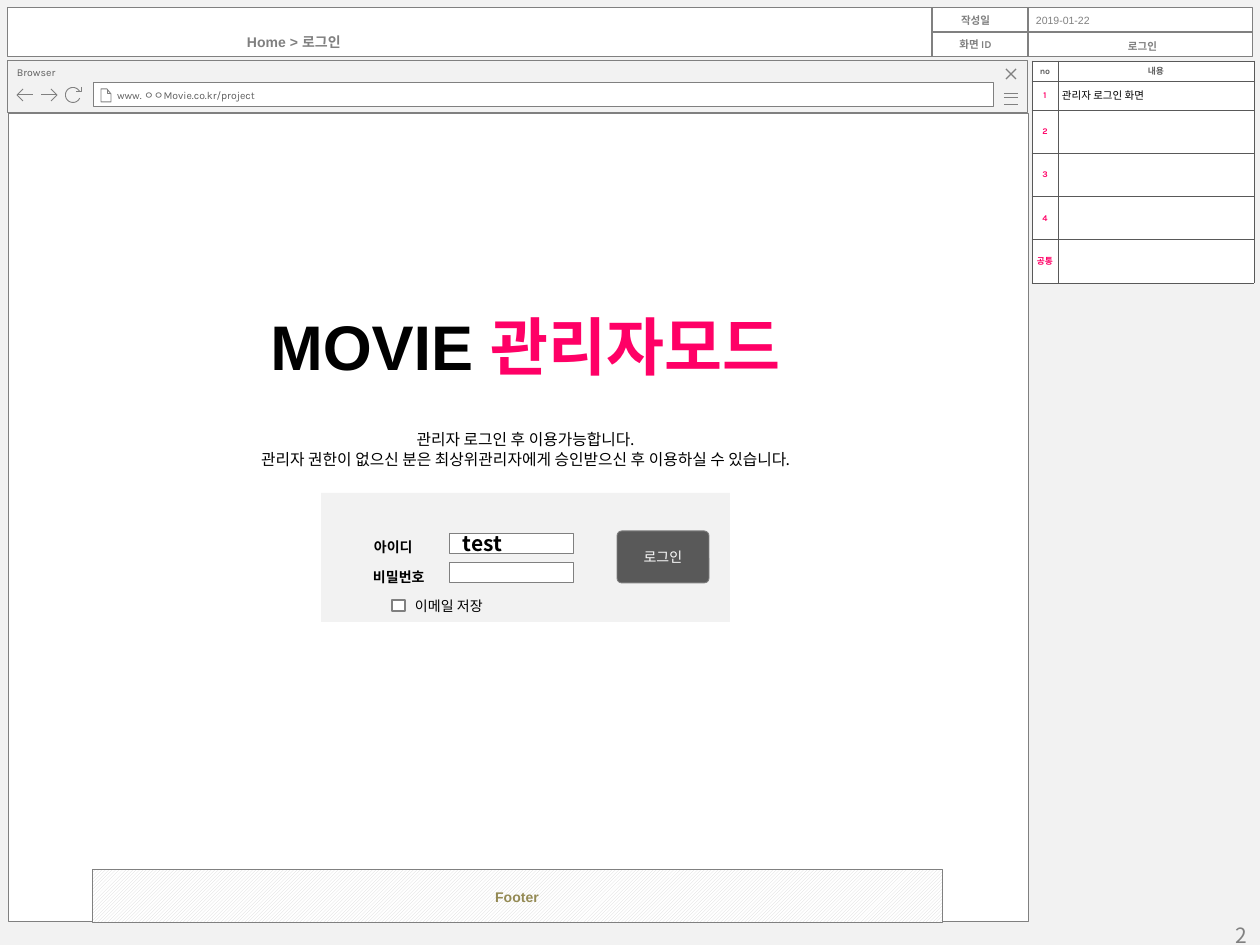
import math
from lxml import etree
from pptx import Presentation, util as u
from pptx.dml.color import RGBColor
from pptx.enum import dml, shapes, text
from pptx.oxml.ns import qn

PX = 914400 / 126
THEME = {
    "back": "F2F2F2", "white": "FFFFFF", "gray": "808080", "soft": "5F5F5F",
    "dark": "595959", "black": "000000", "pink": "FF0066", "gold": "948A54",
    "hatch": "D9D9D9", "tiny": 5, "small": 6, "body": 8, "note": 9,
    "large": 12, "hero": 36,
    "sans": "Arial", "ui": "Karla", "kor": "Noto Sans CJK KR", "lead": 1.25,
}
RECT = shapes.MSO_SHAPE.RECTANGLE
ROUND = shapes.MSO_SHAPE.ROUNDED_RECTANGLE
MID = text.MSO_ANCHOR.MIDDLE
TOP = text.MSO_ANCHOR.TOP
LEFT, CENTER, RIGHT = text.PP_ALIGN.LEFT, text.PP_ALIGN.CENTER, text.PP_ALIGN.RIGHT


def style(font, size, color, bold=False, align=LEFT, anchor=TOP,
          pad=(13, 6, 13, 6), wrap=False):
    return dict(font=font, size=size, color=color, bold=bold, align=align,
                anchor=anchor, pad=pad, wrap=wrap)


EDGE = (9, 5, 9, 5)
STYLES = {
    "tab": style("ui", "small", "soft", pad=(9, 5, 23, 5), wrap=True),
    "url": style("ui", "small", "soft", anchor=MID, pad=(24, 5, 9, 5), wrap=True),
    "meta": style("ui", "small", "gray", True, CENTER, MID, (0, 0, 8, 0)),
    "date": style("sans", "small", "gray", pad=(8, 4, 0, 4)),
    "title": style("sans", "small", "gray", True, CENTER, MID, (8, 4, 0, 0)),
    "crumb": style("sans", "body", "gray", True, pad=EDGE),
    "page": style("kor", "large", "gray", align=RIGHT, anchor=MID, wrap=True),
    "foot": style("sans", "body", "gold", True, CENTER, MID, EDGE, True),
    "note": style("kor", "note", "black", align=CENTER),
    "label": style("kor", "body", "black", True),
    "check": style("kor", "body", "black", pad=EDGE),
    "input": style("kor", "large", "black", True, anchor=MID, pad=(13, 8, 13, 8), wrap=True),
    "button": style("ui", "body", "white", align=CENTER, anchor=MID, pad=EDGE, wrap=True),
    "hero": style("sans", "hero", "black", True, CENTER, pad=(0, 0, 0, 0), wrap=True),
    "head": style("ui", "tiny", "soft", True, CENTER, MID, (0, 0, 0, 0)),
    "topic": style("sans", "tiny", "soft", True, CENTER, MID, (1, 1, 1, 0)),
    "num": style("ui", "tiny", "pink", True, CENTER, MID, (0, 0, 0, 0)),
    "desc": style("sans", "small", "black", anchor=MID, pad=(4, 4, 0, 4)),
}

BOXES = [
    ((8, 113, 1020, 808), RECT, "white", "gray", 0.25, None, ""),
    ((8, 60, 1020, 53), RECT, "back", "gray", 0.5, "tab", "Browser"),
    ((93, 83, 900, 24), RECT, "white", "gray", 0.5, "url", "www. ㅇㅇMovie.co.kr/project"),
    ((8, 8, 1245, 49), RECT, "white", "gray", 0.5, None, ""),
    ((92, 870, 850, 53), RECT, "hatch", "gray", 0.5, "foot", "Footer"),
    ((321, 493, 409, 129), RECT, "back", None, 0, None, ""),
    ((450, 533, 124, 20), RECT, "white", "gray", 0.5, "input", "test"),
    ((450, 562, 124, 21), RECT, "white", "gray", 0.5, None, ""),
    ((617, 531, 92, 52), ROUND, "dark", "gray", 0.5, "button", "로그인"),
    ((392, 600, 13, 11), RECT, "white", "gray", 0.75, None, ""),
]
NOTES = [
    ((932, 8, 95, 24), "meta", "작성일"),
    ((932, 32, 95, 24), "meta", "화면 ID"),
    ((1028, 9, 223, 23), "date", "2019-01-22"),
    ((238, 28, 121, 26), "crumb", "Home > 로그인"),
    ((977, 924, 283, 21), "page", "2"),
    ((276, 423, 499, 42), "note", "관리자 로그인 후 이용가능합니다.\n"
     "관리자 권한이 없으신 분은 최상위관리자에게 승인받으신 후 이용하실 수 있습니다."),
    ((361, 532, 48, 21), "label", "아이디"),
    ((360, 562, 58, 21), "label", "비밀번호"),
    ((406, 592, 94, 26), "check", "이메일 저장"),
    ((252, 304, 547, 99), "hero", [("MOVIE ", "black"), ("관리자모드", "pink")]),
]
RULES = [(932, 32, 1253, 32), (932, 8, 932, 57), (1028, 8, 1028, 57)]
ARC = [(73 + 7.5 * math.cos(math.radians(a)), 95 + 7.5 * math.sin(math.radians(a)))
       for a in range(25, 336, 10)]
ICONS = [
    ([[(1004, y), (1018, y)] for y in (93, 98, 104)], 0.5),
    ([[(1016, 69), (1006, 79)], [(1006, 69), (1016, 79)]], 0.75),
    ([[(107, 89), (107, 94), (111, 94)],
      [(101, 89), (101, 102), (111, 102), (111, 94), (107, 89), (101, 89)]], 0.5),
    ([[(23, 101), (17, 95), (23, 89)], [(17, 95), (33, 95)]], 0.5),
    ([[(51, 89), (57, 95), (51, 101)], [(57, 95), (41, 95)]], 0.5),
    ([[(81, 87), (81, 92), (76, 92)], ARC], 0.5),
]
TITLE = ((1027, 32, 223, 25), "로그인")
ROWS = [("no", "내용"), ("1", "관리자 로그인 화면"), ("2", ""), ("3", ""),
        ("4", ""), ("공통", "")]
GRID = (1032, 61)
WIDE, TALL = (26, 196), (20, 29)


def px(*nums):
    return [u.Emu(round(n * PX)) for n in nums]


def tint(name):
    return RGBColor.from_string(THEME[name])


def assign(obj, **vals):
    for key, val in vals.items():
        setattr(obj, key, val)


def fit(frame, look):
    sides = ("left", "top", "right", "bottom")
    assign(frame, **{"margin_" + s: v for s, v in zip(sides, px(*look["pad"]))})


def write(frame, look, words):
    para = frame.paragraphs[0]
    size = THEME[look["size"]]
    assign(para, alignment=look["align"], line_spacing=u.Pt(size * THEME["lead"]))
    parts = [(words, look["color"])] if isinstance(words, str) else words
    for words, color in parts:
        for i, line in enumerate(words.split("\n")):
            if i:
                para.add_line_break()
            run = para.add_run()
            run.text = line
            run.font.color.rgb = tint(color)
            assign(run.font, size=u.Pt(size), bold=look["bold"], name=THEME[look["font"]])
            etree.SubElement(run.font._element, qn("a:ea"), typeface=THEME["kor"])
    if not parts[0][0]:
        etree.SubElement(para._p, qn("a:endParaRPr"), sz=str(size * 100))


def label(shape, key, words):
    look, frame = STYLES[key], shape.text_frame
    assign(frame, auto_size=text.MSO_AUTO_SIZE.NONE, word_wrap=look["wrap"],
           vertical_anchor=look["anchor"])
    fit(frame, look)
    write(frame, look, words)


def stroke(line, color, width):
    line.color.rgb = tint(color)
    line.width = u.Pt(width)


def box(slide, place, kind, fill, edge, width, key, words):
    shape = slide.shapes.add_shape(kind, *px(*place))
    shape.shadow.inherit = False
    if fill == "hatch":
        shape.fill.patterned()
        shape.fill.pattern = dml.MSO_PATTERN.LIGHT_UPWARD_DIAGONAL
        shape.fill.fore_color.rgb = tint("hatch")
        shape.fill.back_color.rgb = tint("white")
    else:
        shape.fill.solid()
        shape.fill.fore_color.rgb = tint(fill)
    if edge:
        stroke(shape.line, edge, width)
    else:
        shape.line.fill.background()
    if kind == ROUND:
        shape.adjustments[0] = 0.09
    if key:
        label(shape, key, words)


def icon(slide, paths, width):
    pen = slide.shapes.build_freeform(*px(*paths[0][0]))
    for i, path in enumerate(paths):
        if i:
            pen.move_to(*px(*path[0]))
        pen.add_line_segments([px(*dot) for dot in path[1:]], close=False)
    shape = pen.convert_to_shape()
    shape.shadow.inherit = False
    shape.fill.background()
    stroke(shape.line, "gray", width)


def rule(slide, ends):
    line = slide.shapes.add_connector(shapes.MSO_CONNECTOR.STRAIGHT, *px(*ends))
    stroke(line.line, "gray", 0.75)
    etree.SubElement(line._element.spPr, qn("a:effectLst"))


def border(cell):
    props = cell._tc.get_or_add_tcPr()
    for i, side in enumerate(("lnL", "lnR", "lnT", "lnB")):
        edge = etree.Element(qn("a:" + side), w="6350")
        fill = etree.SubElement(edge, qn("a:solidFill"))
        etree.SubElement(fill, qn("a:srgbClr"), val=THEME["dark"])
        props.insert(i, edge)


def grid(slide):
    high = [TALL[0]] + [TALL[1]] * (len(ROWS) - 1)
    table = slide.shapes.add_table(len(ROWS), 2, *px(*GRID, sum(WIDE), sum(high))).table
    assign(table, first_row=False, horz_banding=False)
    for col, wide in zip(table.columns, px(*WIDE)):
        col.width = wide
    for r, (row, tall) in enumerate(zip(table.rows, px(*high))):
        row.height = tall
        for cell, key, words in zip(row.cells, ("num", "desc") if r else ("head", "topic"), ROWS[r]):
            look = STYLES[key]
            cell.vertical_anchor = look["anchor"]
            fit(cell, look)
            cell.fill.solid()
            cell.fill.fore_color.rgb = tint("white")
            write(cell.text_frame, look, words)
            border(cell)


def main():
    deck = Presentation()
    assign(deck, slide_width=u.Inches(10), slide_height=u.Inches(7.5))
    slide = deck.slides.add_slide(deck.slide_layouts[5])
    slide.background.fill.solid()
    slide.background.fill.fore_color.rgb = tint("back")
    for item in BOXES:
        box(slide, *item)
    for item in ICONS:
        icon(slide, *item)
    for ends in RULES:
        rule(slide, ends)
    title, (place, words) = slide.shapes.title, TITLE
    assign(title, **dict(zip(("left", "top", "width", "height"), px(*place))))
    label(title, "title", words)
    title.element.getparent().append(title.element)
    grid(slide)
    for place, key, words in NOTES:
        label(slide.shapes.add_textbox(*px(*place)), key, words)
    deck.save("out.pptx")


if __name__ == "__main__":
    main()
